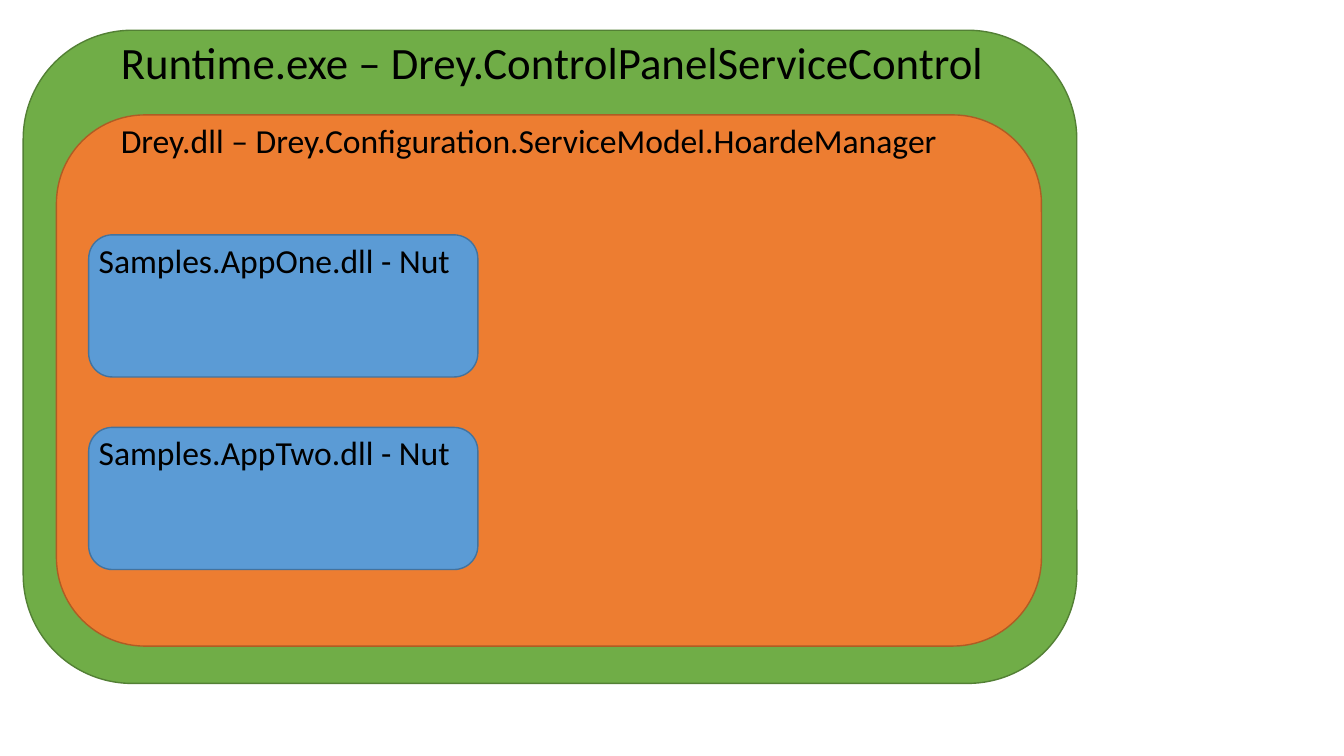
from dataclasses import dataclass

import pptx
import pptx.dml.color
import pptx.enum.shapes
import pptx.enum.text
import pptx.util
from pptx.util import Inches


@dataclass(frozen=True)
class Theme:
    font: str = "Calibri"
    text: str = "000000"
    title_size: int = 32
    label_size: int = 24
    line_width: int = 1
    # Each layer has a fill and an outline colour
    runtime: tuple = ("70AD47", "538035")
    library: tuple = ("ED7D31", "AF5C24")
    nut: tuple = ("5B9BD5", "43739E")


THEME = Theme()


def rgb(value):
    return pptx.dml.color.RGBColor.from_string(value)


def add_container(page, left, top, width, height, colours):
    """Add a rounded box for one layer of the architecture."""
    fill, outline = colours
    box = page.shapes.add_shape(
        pptx.enum.shapes.MSO_SHAPE.ROUNDED_RECTANGLE,
        Inches(left), Inches(top), Inches(width), Inches(height))
    box.shadow.inherit = False
    box.fill.solid()
    box.fill.fore_color.rgb = rgb(fill)
    box.line.color.rgb = rgb(outline)
    box.line.width = pptx.util.Pt(THEME.line_width)


def add_label(page, text, left, top, width, height, size):
    """Add a left-aligned text label."""
    box = page.shapes.add_textbox(
        Inches(left), Inches(top), Inches(width), Inches(height))
    frame = box.text_frame
    frame.word_wrap = True
    frame.auto_size = pptx.enum.text.MSO_AUTO_SIZE.SHAPE_TO_FIT_TEXT
    frame.text = text
    font = frame.paragraphs[0].runs[0].font
    font.name = THEME.font
    font.size = pptx.util.Pt(size)
    font.color.rgb = rgb(THEME.text)


def add_nut(page, name, top):
    """Add an application box with its label at the top."""
    left, width = 0.88, 3.86
    add_container(page, left, top, width, 1.41, THEME.nut)
    add_label(page, f"{name} - Nut", left, top, width, 0.5, THEME.label_size)


def main():
    deck = pptx.Presentation()
    deck.slide_width = Inches(13.33)
    deck.slide_height = Inches(7.5)
    page = deck.slides.add_slide(deck.slide_layouts[6])

    # Runtime process
    add_container(page, 0.23, 0.3, 10.45, 6.48, THEME.runtime)
    add_label(page, "Runtime.exe – Drey.ControlPanelServiceControl",
              1.1, 0.3, 8.8, 0.64, THEME.title_size)

    # Library hosted by the runtime
    add_container(page, 0.56, 1.14, 9.77, 5.27, THEME.library)
    add_label(page, "Drey.dll – Drey.Configuration.ServiceModel.HoardeManager",
              1.1, 1.14, 8.8, 0.5, THEME.label_size)

    # Applications managed by the library
    first_top, pitch = 2.33, 1.91
    for row, name in enumerate(("Samples.AppOne.dll", "Samples.AppTwo.dll")):
        add_nut(page, name, first_top + row * pitch)

    deck.save("out.pptx")


if __name__ == "__main__":
    main()
